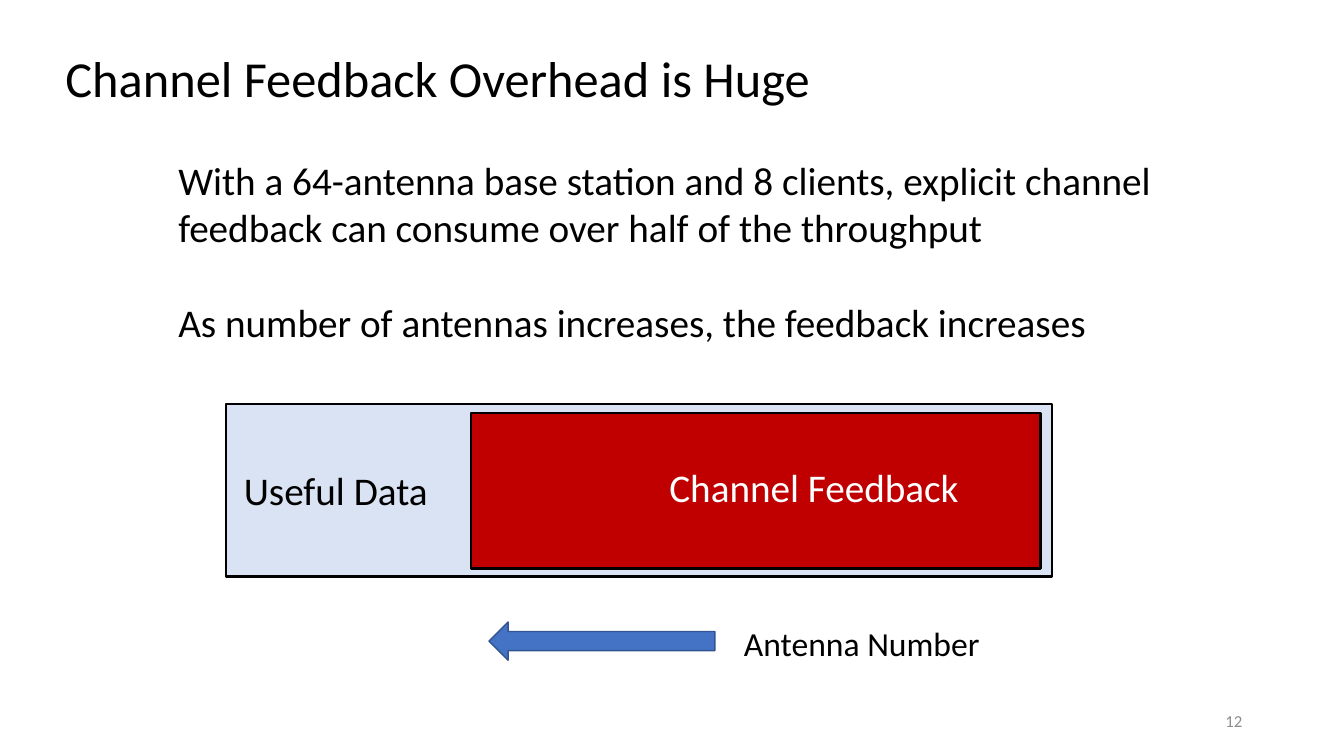
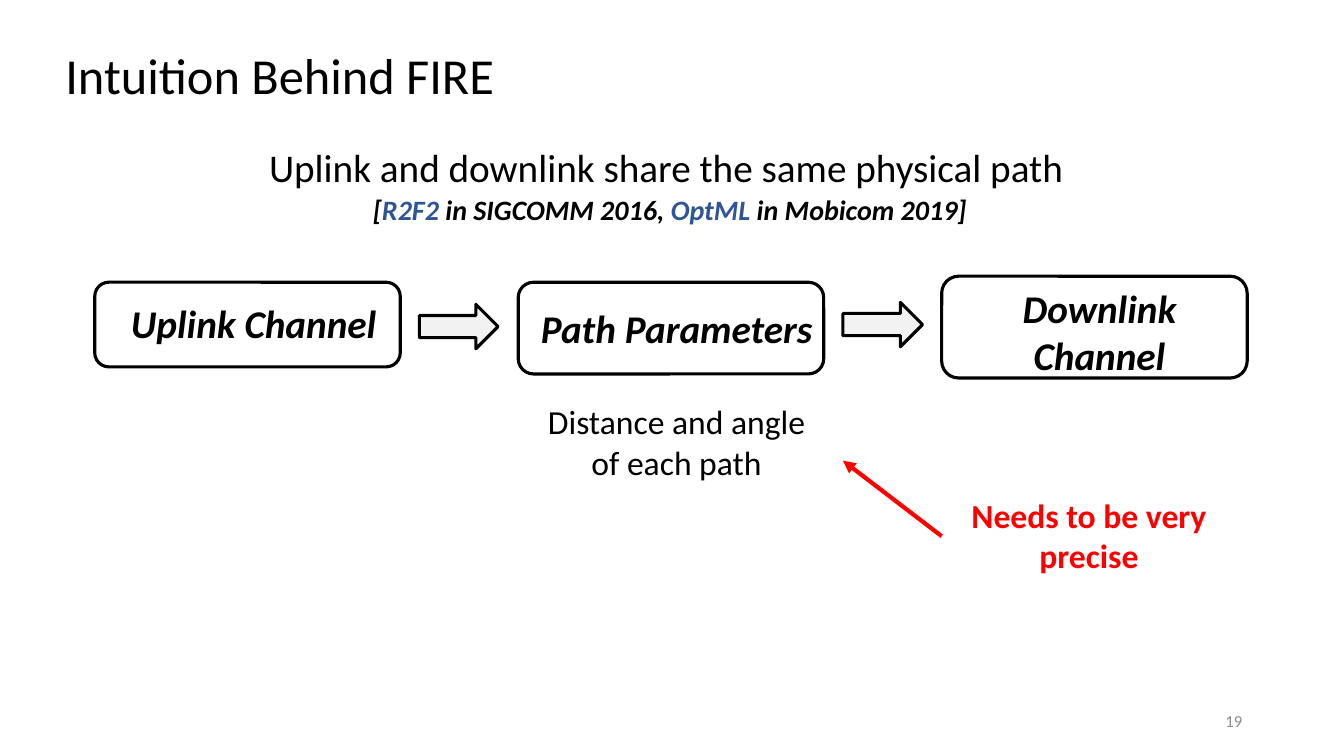
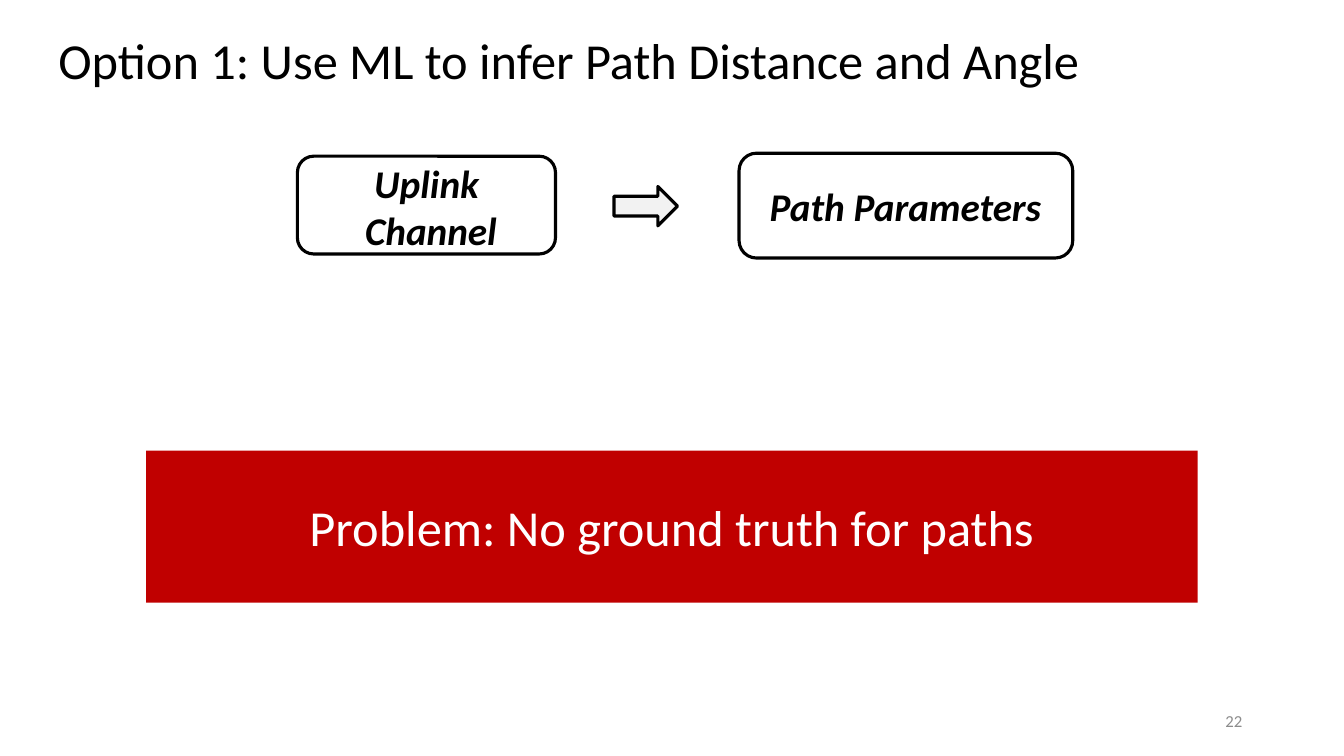
"""Build three slides on channel feedback and path inference."""
import pptx
import pptx.dml.color
import pptx.enum.shapes
import pptx.enum.text
import pptx.oxml
import pptx.oxml.ns
import pptx.util

Inches = pptx.util.Inches
Pt = pptx.util.Pt
RGBColor = pptx.dml.color.RGBColor
Shapes = pptx.enum.shapes.MSO_SHAPE
Align = pptx.enum.text.PP_ALIGN
Anchor = pptx.enum.text.MSO_ANCHOR
AutoSize = pptx.enum.text.MSO_AUTO_SIZE

BLACK = RGBColor(0x00, 0x00, 0x00)
WHITE = RGBColor(0xFF, 0xFF, 0xFF)
GRAY = RGBColor(0x8C, 0x8C, 0x8C)
PALE_GRAY = RGBColor(0xF2, 0xF2, 0xF2)
BLUE = RGBColor(0x44, 0x72, 0xC4)
DARK_BLUE = RGBColor(0x32, 0x54, 0x91)
CITE_BLUE = RGBColor(0x2F, 0x55, 0x97)
PALE_BLUE = RGBColor(0xDA, 0xE3, 0xF3)
DEEP_RED = RGBColor(0xC0, 0x00, 0x00)
RED = RGBColor(0xFF, 0x00, 0x00)

TITLE = {"name": "Calibri", "size": Pt(36)}
BODY = {"name": "Calibri", "size": Pt(28)}
CAPTION = {"name": "Calibri", "size": Pt(24)}
CITATION = {"name": "Calibri", "size": Pt(20), "bold": True, "italic": True}
NUMBER = {"name": "Calibri", "size": Pt(12)}
STAGE = {**BODY, "bold": True, "italic": True}
WARNING = {**CAPTION, "bold": True}


def write_text(frame, paragraphs, style, align):
    """Fill a text frame with paragraphs given as lists of (text, colour)."""
    for index, spans in enumerate(paragraphs):
        para = frame.add_paragraph() if index else frame.paragraphs[0]
        para.alignment = align
        for text, color in spans:
            span = para.add_run()
            span.text = text
            span.font.color.rgb = color
            for key, value in style.items():
                setattr(span.font, key, value)


def add_text(page, area, paragraphs, style, align=Align.LEFT, wrap=True,
             anchor=Anchor.TOP, fit=AutoSize.SHAPE_TO_FIT_TEXT):
    """Add a text box at left, top, width, height."""
    frame = page.shapes.add_textbox(*map(Inches, area)).text_frame
    settings = {"word_wrap": wrap, "auto_size": fit, "vertical_anchor": anchor}
    for key, value in settings.items():
        setattr(frame, key, value)
    write_text(frame, paragraphs, style, align)


def add_label(page, area, text, style, color=BLACK, **layout):
    """Add a text box in one colour, one paragraph for each line."""
    add_text(page, area, [[(line, color)] for line in text.split("\n")], style, **layout)


def add_block(page, kind, area, fill=None, line=None, width=1.5):
    """Add a preset shape with an optional fill and outline."""
    block = page.shapes.add_shape(kind, *map(Inches, area))
    block.shadow.inherit = False
    for part, color in ((block.fill, fill), (block.line.fill, line)):
        if color is None:
            part.background()
        else:
            part.solid()
            part.fore_color.rgb = color
    if line is not None:
        block.line.width = Pt(width)
    return block


def add_stage(page, frame_area, text_area, text, wrap=True):
    """Add a rounded stage of the pipeline with its name."""
    add_block(page, Shapes.ROUNDED_RECTANGLE, frame_area, None, BLACK, 2.25)
    add_label(page, text_area, text, STAGE, align=Align.CENTER, wrap=wrap)


def add_step_arrow(page, area):
    """Add a block arrow between two stages."""
    add_block(page, Shapes.RIGHT_ARROW, area, PALE_GRAY, BLACK, 2.25)


def add_pointer(page, tip, tail):
    """Add a red line with an arrowhead at its tip."""
    pointer = page.shapes.add_connector(
        pptx.enum.shapes.MSO_CONNECTOR.STRAIGHT, *map(Inches, tip + tail))
    pointer.line.color.rgb = RED
    pointer.line.width = Pt(3)
    properties = pointer.line._get_or_add_ln()
    head = pptx.oxml.parse_xml(
        f'<a:headEnd {pptx.oxml.ns.nsdecls("a")} type="triangle"/>')
    properties.append(head)
    effects = pptx.oxml.parse_xml(f'<a:effectLst {pptx.oxml.ns.nsdecls("a")}/>')
    properties.addnext(effects)


def add_page(deck, title, area, number):
    """Add a blank slide with its title and slide number."""
    page = deck.slides.add_slide(deck.slide_layouts[6])
    add_label(page, area, title, TITLE, wrap=False)
    add_label(page, (9.42, 6.95, 3, 0.4), str(number), NUMBER, GRAY,
              align=Align.RIGHT, anchor=Anchor.MIDDLE, fit=AutoSize.NONE)
    return page


def build_overhead(deck):
    """Build the slide on feedback overhead."""
    page = add_page(deck, "Channel Feedback Overhead is Huge", (0.55, 0.42, 7.65, 0.71), 12)
    add_label(page, (1.67, 1.5, 10.15, 1.04),
              "With a 64-antenna base station and 8 clients, explicit channel "
              "feedback can consume over half of the throughput", BODY)
    add_label(page, (1.67, 2.91, 10.15, 0.57),
              "As number of antennas increases, the feedback increases", BODY)
    add_block(page, Shapes.RECTANGLE, (2.24, 4.01, 8.19, 1.71), PALE_BLUE, BLACK)
    add_block(page, Shapes.RECTANGLE, (4.67, 4.1, 5.65, 1.54), DEEP_RED, BLACK)
    add_label(page, (6.54, 4.55, 3.78, 0.57), "Channel Feedback", BODY, WHITE)
    add_label(page, (2.24, 4.58, 2.18, 0.57), "Useful Data", BODY, align=Align.CENTER)
    add_block(page, Shapes.LEFT_ARROW, (4.85, 6.17, 2.24, 0.38), BLUE, DARK_BLUE, 1)
    add_label(page, (7.28, 6.13, 2.56, 0.5), "Antenna Number", CAPTION, wrap=False)


def build_intuition(deck):
    """Build the slide on the shared physical path."""
    page = add_page(deck, "Intuition Behind FIRE", (0.55, 0.39, 4.5, 0.71), 19)
    add_label(page, (2.57, 1.37, 8.2, 0.57),
              "Uplink and downlink share the same physical path", BODY, wrap=False)
    citation = [("[", BLACK), ("R2F2", CITE_BLUE), (" in SIGCOMM 2016, ", BLACK),
                ("OptML", CITE_BLUE), (" in Mobicom 2019]", BLACK)]
    add_text(page, (3.6, 1.86, 6.13, 0.44), [citation], CITATION, wrap=False)
    add_stage(page, (0.94, 2.8, 3.03, 0.84), (1.14, 2.92, 2.75, 0.57), "Uplink Channel")
    add_stage(page, (5.14, 2.8, 3.03, 0.91), (5.25, 2.97, 2.92, 0.57),
              "Path Parameters", wrap=False)
    add_stage(page, (9.34, 2.74, 3.03, 1.01), (9.53, 2.77, 2.75, 1.04), "Downlink Channel")
    add_step_arrow(page, (4.16, 3.02, 0.78, 0.44))
    add_step_arrow(page, (8.36, 3, 0.79, 0.44))
    add_label(page, (5.25, 3.93, 2.92, 0.91), "Distance and angle of each path",
              CAPTION, align=Align.CENTER)
    add_pointer(page, (8.36, 4.57), (9.34, 5.32))
    add_label(page, (9.34, 4.86, 2.92, 0.91), "Needs to be very precise",
              WARNING, RED, align=Align.CENTER)


def build_option(deck):
    """Build the slide on inferring paths with ML."""
    page = add_page(deck, "Option 1: Use ML to infer Path Distance and Angle",
                    (0.48, 0.24, 10.43, 0.71), 22)
    add_stage(page, (2.95, 1.55, 2.56, 0.97), (2.7, 1.53, 3.15, 1.04), "Uplink \nChannel")
    add_step_arrow(page, (6.09, 1.85, 0.63, 0.39))
    add_stage(page, (7.33, 1.52, 3.31, 1.04), (7.52, 1.76, 2.92, 0.57),
              "Path Parameters", wrap=False)
    banner = add_block(page, Shapes.RECTANGLE, (1.45, 4.47, 10.43, 1.51), DEEP_RED)
    banner.text_frame.vertical_anchor = Anchor.MIDDLE
    write_text(banner.text_frame, [[("Problem: No ground truth for paths", WHITE)]],
               TITLE, Align.CENTER)


def main():
    """Build and save the deck."""
    deck = pptx.Presentation()
    deck.slide_width = Inches(13.33)
    deck.slide_height = Inches(7.5)
    build_overhead(deck)
    build_intuition(deck)
    build_option(deck)
    deck.save("out.pptx")


if __name__ == "__main__":
    main()
